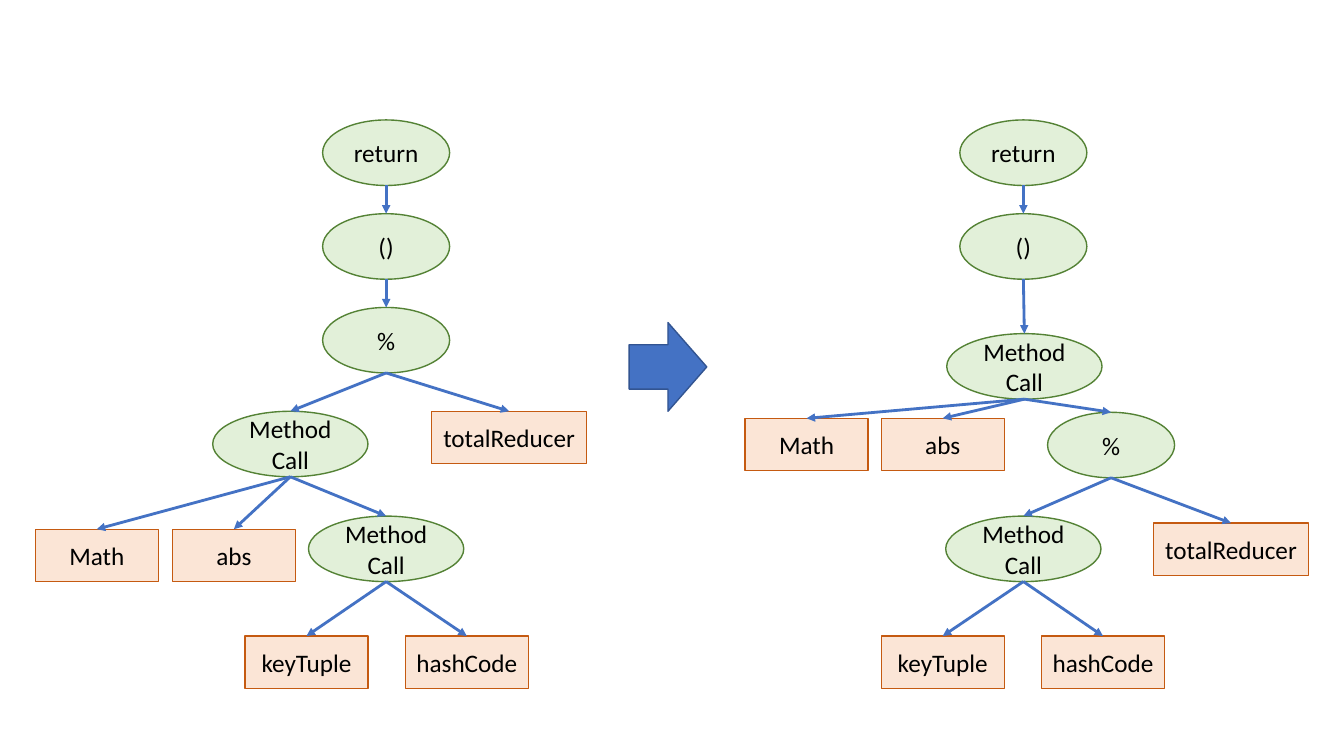
from pptx import Presentation
from pptx.dml.color import RGBColor
from pptx.enum.shapes import MSO_CONNECTOR, MSO_SHAPE
from pptx.enum.text import MSO_ANCHOR, PP_ALIGN
from pptx.oxml.ns import qn
from pptx.util import Inches, Pt
from lxml.etree import SubElement

GREEN_FILL = RGBColor(0xE2, 0xF0, 0xD9)
GREEN_LINE = RGBColor(0x54, 0x82, 0x35)
ORANGE_FILL = RGBColor(0xFB, 0xE5, 0xD6)
ORANGE_LINE = RGBColor(0xC5, 0x5A, 0x11)
BLUE = RGBColor(0x44, 0x72, 0xC4)
DARK_BLUE = RGBColor(0x32, 0x54, 0x91)
BLACK = RGBColor(0, 0, 0)

KINDS = {
    "operator": (MSO_SHAPE.OVAL, 1.26, 0.65, GREEN_FILL, GREEN_LINE),
    "call": (MSO_SHAPE.OVAL, 1.54, 0.65, GREEN_FILL, GREEN_LINE),
    "leaf": (MSO_SHAPE.RECTANGLE, 1.22, 0.52, ORANGE_FILL, ORANGE_LINE),
    "wide leaf": (MSO_SHAPE.RECTANGLE, 1.54, 0.52, ORANGE_FILL, ORANGE_LINE),
}

# name: (kind, label, centre x, top, parent)
BEFORE = {
    "return": ("operator", "return", 3.83, 1.19, None),
    "parens": ("operator", "()", 3.83, 2.12, "return"),
    "modulo": ("operator", "%", 3.83, 3.05, "parens"),
    "abs call": ("call", "Method Call", 2.88, 4.08, "modulo"),
    "reducer": ("wide leaf", "totalReducer", 5.05, 4.08, "modulo"),
    "math": ("leaf", "Math", 0.96, 5.25, "abs call"),
    "abs": ("leaf", "abs", 2.32, 5.25, "abs call"),
    "hash call": ("call", "Method Call", 3.83, 5.12, "abs call"),
    "key": ("leaf", "keyTuple", 3.04, 6.31, "hash call"),
    "hash": ("leaf", "hashCode", 4.63, 6.31, "hash call"),
}
AFTER = {
    "return": ("operator", "return", 10.15, 1.19, None),
    "parens": ("operator", "()", 10.15, 2.12, "return"),
    "abs call": ("call", "Method Call", 10.16, 3.31, "parens"),
    "math": ("leaf", "Math", 8.0, 4.15, "abs call"),
    "abs": ("leaf", "abs", 9.35, 4.15, "abs call"),
    "modulo": ("operator", "%", 11.02, 4.09, "abs call"),
    "hash call": ("call", "Method Call", 10.15, 5.12, "modulo"),
    "reducer": ("wide leaf", "totalReducer", 12.21, 5.19, "modulo"),
    "key": ("leaf", "keyTuple", 9.35, 6.31, "hash call"),
    "hash": ("leaf", "hashCode", 10.94, 6.31, "hash call"),
}


def paint(sp, fill, line):
    sp.shadow.inherit = False
    sp.fill.solid()
    sp.fill.fore_color.rgb = fill
    sp.line.color.rgb = line
    sp.line.width = Pt(1)


def add_node(shapes, kind, label, center, top):
    preset, width, height, fill, line = KINDS[kind]
    sp = shapes.add_shape(preset, Inches(center - width / 2), Inches(top),
                          Inches(width), Inches(height))
    paint(sp, fill, line)
    tf = sp.text_frame
    tf.word_wrap = True
    tf.vertical_anchor = MSO_ANCHOR.MIDDLE
    p = tf.paragraphs[0]
    p.alignment = PP_ALIGN.CENTER
    r = p.add_run()
    r.text = label
    r.font.name = "Calibri"
    r.font.size = Pt(18)
    r.font.color.rgb = BLACK


def add_edge(shapes, x1, y1, x2, y2):
    cx = shapes.add_connector(MSO_CONNECTOR.STRAIGHT, Inches(x1), Inches(y1),
                              Inches(x2), Inches(y2))
    cx.line.color.rgb = BLUE
    cx.line.width = Pt(2)
    SubElement(cx.line._get_or_add_ln(), qn("a:tailEnd"), type="triangle")
    SubElement(cx._element.spPr, qn("a:effectLst"))


def add_tree(s, nodes):
    shapes = s.shapes.add_group_shape().shapes
    for kind, label, center, top, _ in nodes.values():
        add_node(shapes, kind, label, center, top)
    for _, _, center, top, parent in nodes.values():
        if parent:
            parent_kind, _, parent_center, parent_top, _ = nodes[parent]
            parent_bottom = parent_top + KINDS[parent_kind][2]
            add_edge(shapes, parent_center, parent_bottom, center, top)


def main():
    prs = Presentation()
    prs.slide_width, prs.slide_height = Inches(13.33), Inches(7.5)
    s = prs.slides.add_slide(prs.slide_layouts[6])
    for tree in (BEFORE, AFTER):
        add_tree(s, tree)
    arrow = s.shapes.add_shape(MSO_SHAPE.RIGHT_ARROW, Inches(6.24), Inches(3.2),
                               Inches(0.77), Inches(0.88))
    paint(arrow, BLUE, DARK_BLUE)
    prs.save("out.pptx")


if __name__ == "__main__":
    main()
